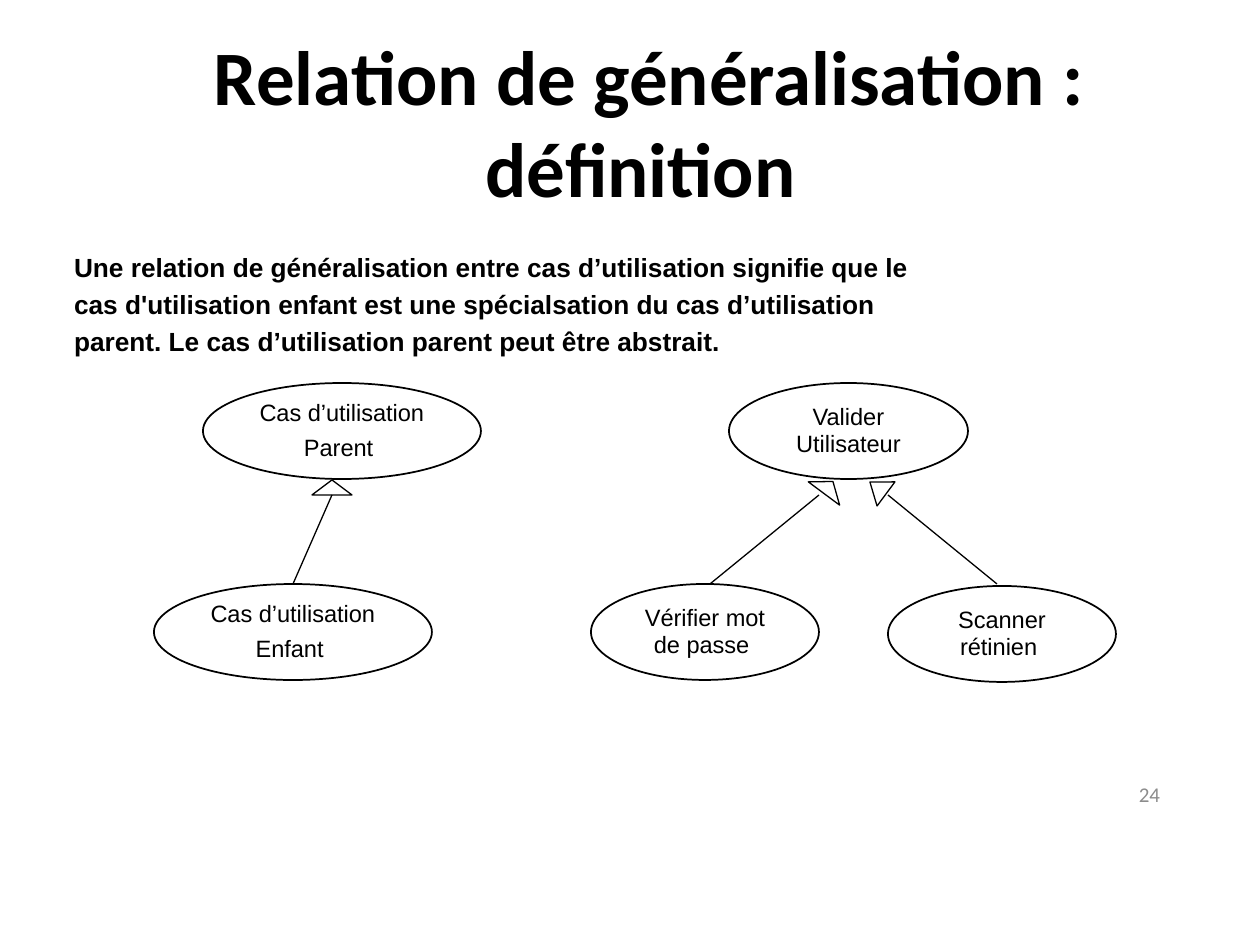
from pptx import Presentation
from pptx.dml.color import RGBColor
from pptx.enum.shapes import MSO_CONNECTOR, MSO_SHAPE
from pptx.enum.text import MSO_ANCHOR, PP_ALIGN
from pptx.oxml.ns import qn
from pptx.util import Emu, Pt

SCALE = 914400 / 126
BLACK = "000000"
WHITE = "FFFFFF"


def px(n):
    """Turn pixels into EMU."""
    return Emu(round(n * SCALE))


def color(value):
    """Turn a hex string into a colour."""
    return RGBColor.from_string(value)


def write(sp, lines, size, font="Arial", fill=BLACK, bold=False,
          align=PP_ALIGN.CENTER, anchor=MSO_ANCHOR.MIDDLE,
          inset=(9, 5), spacing=None, before=0):
    """Fill a shape with one formatted paragraph per line."""
    tf = sp.text_frame
    tf.text = "\n".join(lines)
    tf.word_wrap = True
    tf.vertical_anchor = anchor
    tf.margin_left = tf.margin_right = px(inset[0])
    tf.margin_top = tf.margin_bottom = px(inset[1])
    for p in tf.paragraphs:
        p.alignment = align
        p.line_spacing = spacing
        p.space_before = Pt(before)
        for r in p.runs:
            r.font.name = font
            r.font.size = Pt(size)
            r.font.bold = bold
            r.font.color.rgb = color(fill)


def add_text(s, box, lines, size, **style):
    """Add a text box."""
    sp = s.shapes.add_textbox(*map(px, box))
    write(sp, lines, size, **style)


def add_outlined(s, kind, box, width):
    """Add a white preset shape with a black outline."""
    sp = s.shapes.add_shape(kind, *map(px, box))
    sp.shadow.inherit = False
    sp.fill.solid()
    sp.fill.fore_color.rgb = color(WHITE)
    sp.line.color.rgb = color(BLACK)
    sp.line.width = Pt(width)
    return sp


def add_use_case(s, x, y, w, lines):
    """Add a use case ellipse with its label."""
    sp = add_outlined(s, MSO_SHAPE.OVAL, (x, y, w, 96), 1)
    write(sp, lines, 13.5, spacing=0.93, before=3.4)
    for p in sp.text_frame.paragraphs[1:]:
        p.line_spacing = None
    return sp


def add_arrowhead(s, box, rotation=0):
    """Add a hollow generalisation triangle."""
    sp = add_outlined(s, MSO_SHAPE.FLOWCHART_EXTRACT, box, 0.75)
    sp.rotation = rotation
    return sp


def add_line(s, x1, y1, x2, y2):
    """Add a thin black straight connector."""
    cx = s.shapes.add_connector(MSO_CONNECTOR.STRAIGHT, *map(px, (x1, y1, x2, y2)))
    cx.line.color.rgb = color(BLACK)
    cx.line.width = Pt(0.75)
    sp_pr = cx._element.spPr
    sp_pr.append(sp_pr.makeelement(qn("a:effectLst"), {}))
    return cx


def main():
    """Build the slide and save it."""
    prs = Presentation()
    prs.slide_width, prs.slide_height = px(1260), px(945)
    s = prs.slides.add_slide(prs.slide_layouts[6])

    add_text(s, (163, 82, 973, 77), ["Relation de généralisation : définition "],
             44, font="Calibri", bold=True)
    add_text(s, (64, 249, 1152, 116), [
        "Une relation de généralisation entre cas d’utilisation signifie que le",
        "cas d'utilisation enfant est une spécialsation du cas d’utilisation",
        "parent. Le cas d’utilisation parent peut être abstrait.",
    ], 15, bold=True, align=PP_ALIGN.JUSTIFY, anchor=MSO_ANCHOR.TOP,
        inset=(10, 5), spacing=0.93, before=4.5)

    add_use_case(s, 203, 383, 278, ["Cas d’utilisation", "Parent "])
    child = add_use_case(s, 154, 584, 278, ["Cas d’utilisation", "Enfant "])
    head = add_arrowhead(s, (312, 480, 40, 15))
    link = add_line(s, 293, 584, 332, 495)
    link.begin_connect(child, 0)
    link.end_connect(head, 2)

    add_use_case(s, 729, 383, 239, ["Valider Utilisateur"])
    add_use_case(s, 591, 584, 228, ["Vérifier mot de passe "])
    add_use_case(s, 888, 586, 228, ["Scanner rétinien "])
    add_line(s, 710, 584, 819, 495)
    add_arrowhead(s, (809, 480, 39, 15), 36.6)
    add_arrowhead(s, (863, 478, 30, 20), 306.6)
    add_line(s, 888, 495, 997, 584)

    add_text(s, (890, 775, 283, 38), ["24"], 12, font="Calibri", fill="8C8C8C",
             align=PP_ALIGN.RIGHT, inset=(13, 6))
    prs.save("out.pptx")


if __name__ == "__main__":
    main()
